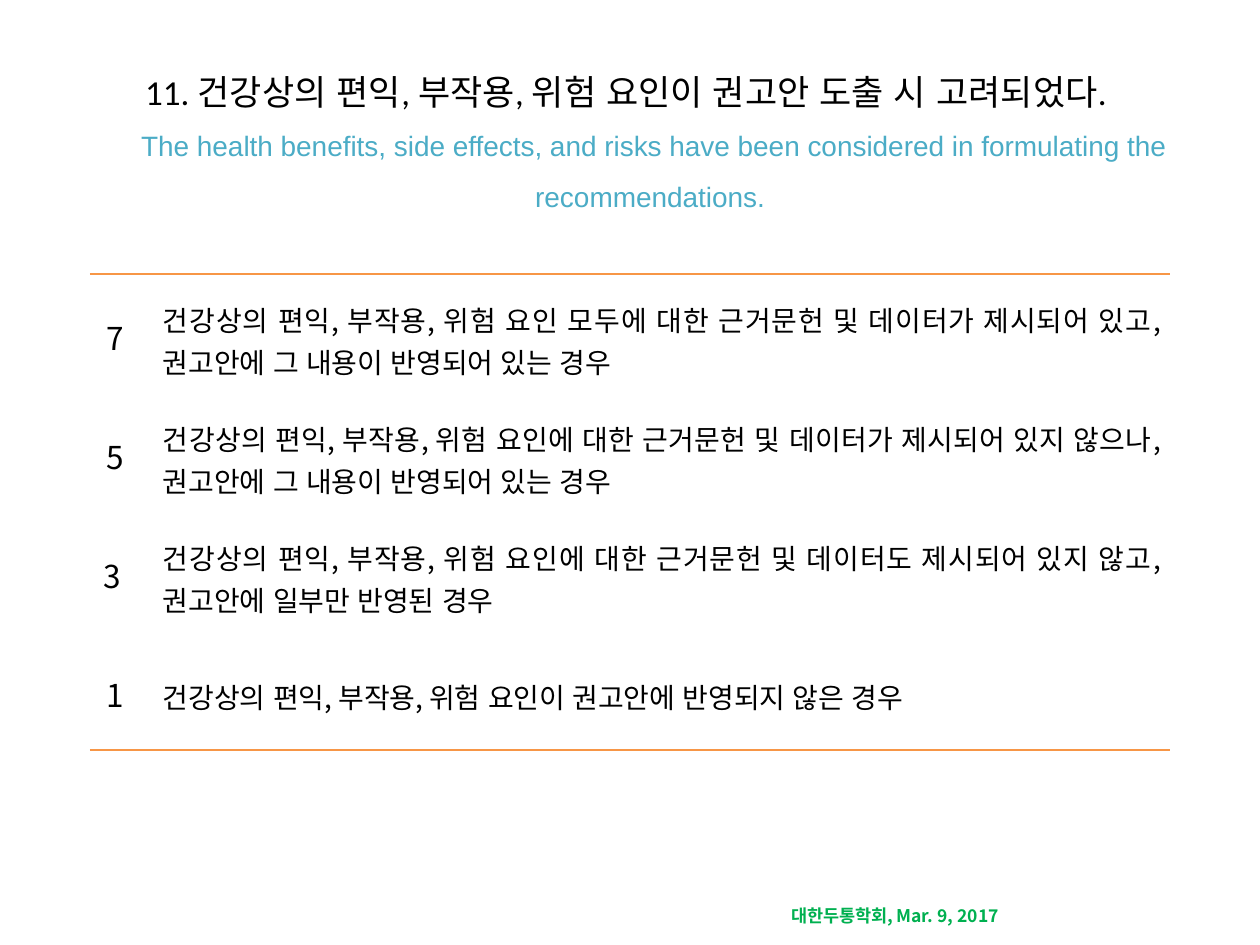
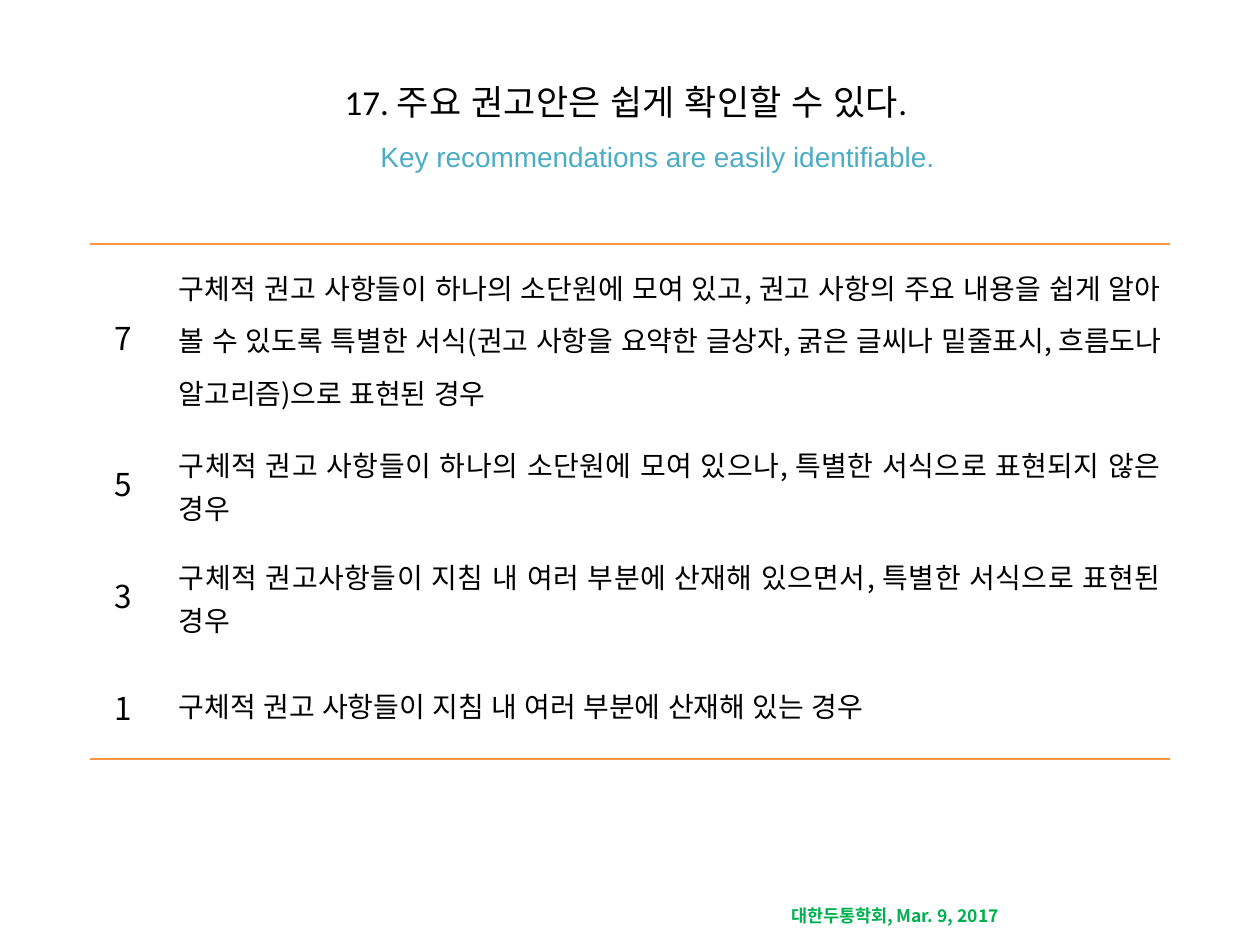
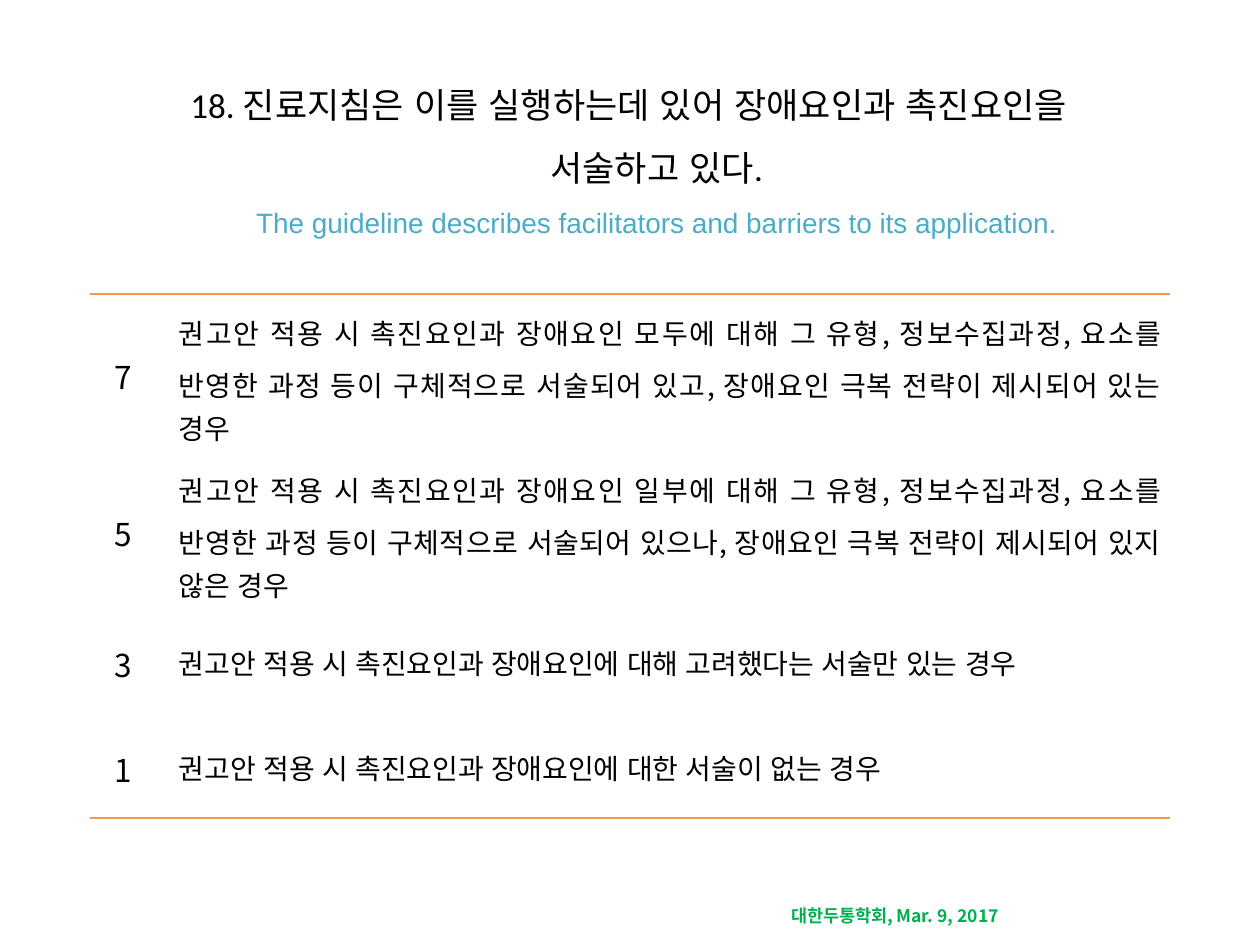
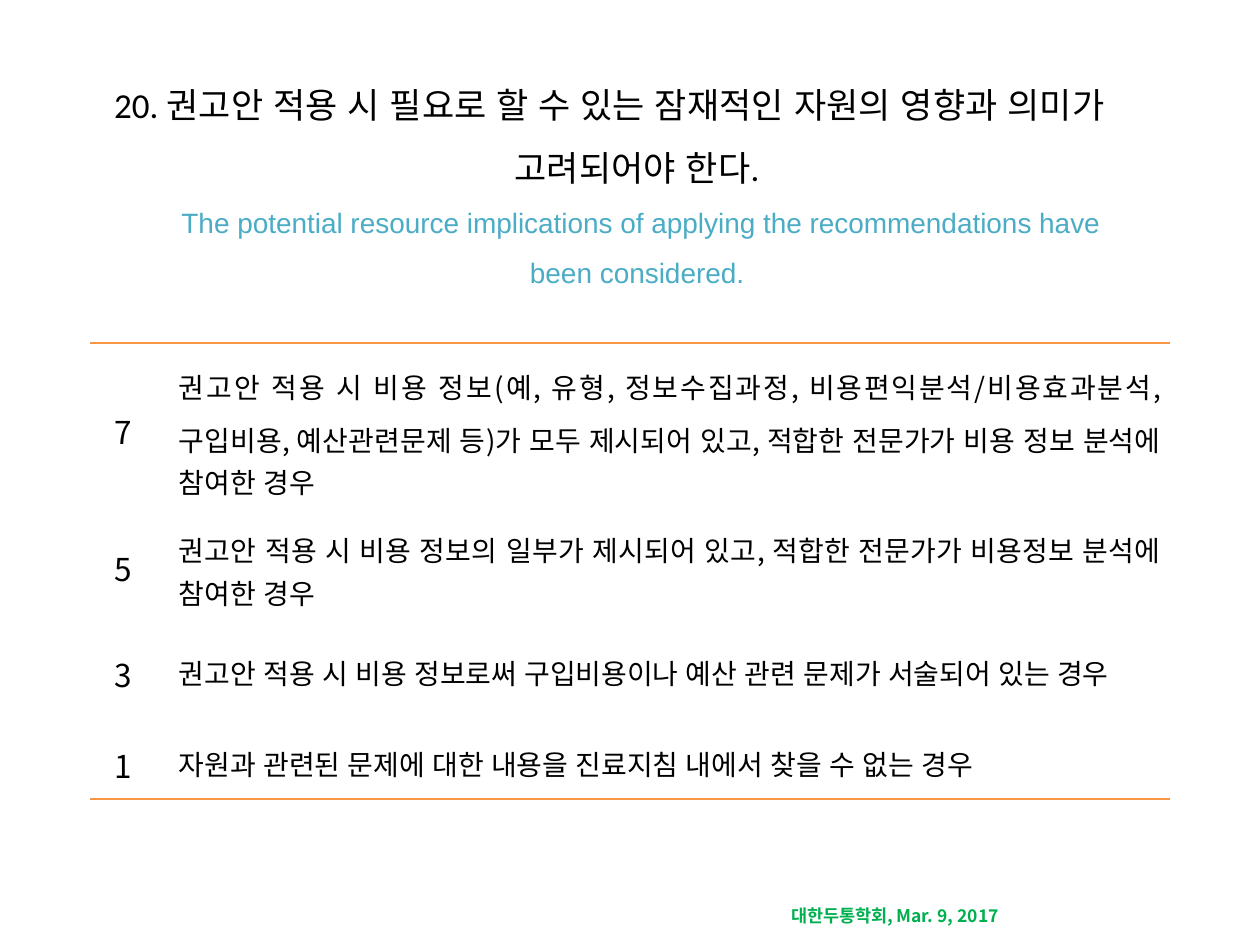
from lxml import etree
from pptx import Presentation
from pptx.dml.color import RGBColor
from pptx.enum.text import MSO_ANCHOR, PP_ALIGN
from pptx.oxml.ns import qn
from pptx.util import Emu, Pt

LEFT, CENTER, JUSTIFY = PP_ALIGN.LEFT, PP_ALIGN.CENTER, PP_ALIGN.JUSTIFY
TOP, MIDDLE = MSO_ANCHOR.TOP, MSO_ANCHOR.MIDDLE

PX_PER_INCH = 126
BODY_FONT, TITLE_FONT, SUBTITLE_FONT = "Noto Sans CJK KR", "Calibri", "Arial"
EAST_ASIAN_FONT = "Arial"
BLACK, TEAL, ORANGE, GREEN = "000000", "4BACC6", "F79646", "00B050"
PLAIN_TABLE_STYLE = "{2D5ABB26-0587-4C30-8999-92F81FD0307C}"

FOOTER = "대한두통학회, Mar. 9, 2017"
FOOTER_BOX = (779, 899, 277, 34)
TABLE_LEFT, TABLE_WIDTH = 90, 1080
CELL_MARGIN, SCORE_RIGHT_MARGIN = 9, 22

CRITERIA = [
    {
        "title": "11. 건강상의 편익, 부작용, 위험 요인이 권고안 도출 시 고려되었다. ",
        "subtitle": "The health benefits, side effects, and risks have been considered "
                    "in formulating the recommendations. ",
        "title_box": (63, 38, 1134, 186),
        "indent": 48,
        "table_top": 274,
        "score_width": 64,
        "row_heights": [119, 119, 119, 119],
        "scores": [
            ("7", "건강상의 편익, 부작용, 위험 요인 모두에 대한 근거문헌 및 데이터가 제시되어 있고, "
                  "권고안에 그 내용이 반영되어 있는 경우"),
            ("5", "건강상의 편익, 부작용, 위험 요인에 대한 근거문헌 및 데이터가 제시되어 있지 않으나, "
                  "권고안에 그 내용이 반영되어 있는 경우"),
            ("3 ", "건강상의 편익, 부작용, 위험 요인에 대한 근거문헌 및 데이터도 제시되어 있지 않고, "
                   "권고안에 일부만 반영된 경우"),
            ("1", "건강상의 편익, 부작용, 위험 요인이 권고안에 반영되지 않은 경우"),
        ],
    },
    {
        "title": "17. 주요 권고안은 쉽게 확인할 수 있다. ",
        "subtitle": "Key recommendations are easily identifiable. ",
        "title_box": (63, 37, 1134, 158),
        "indent": 63,
        "table_top": 244,
        "score_width": 80,
        "row_heights": [179, 112, 112, 112],
        "scores": [
            ("7", "구체적 권고 사항들이 하나의 소단원에 모여 있고, 권고 사항의 주요 내용을 쉽게 "
                  "알아 볼 수 있도록 특별한 서식(권고 사항을 요약한 글상자, 굵은 글씨나 밑줄표시, "
                  "흐름도나 알고리즘)으로 표현된 경우"),
            ("5", "구체적 권고 사항들이 하나의 소단원에 모여 있으나, 특별한 서식으로 표현되지 않은 경우"),
            ("3", "구체적 권고사항들이 지침 내 여러 부분에 산재해 있으면서, "
                  "특별한 서식으로 표현된 경우 "),
            ("1", "구체적 권고 사항들이 지침 내 여러 부분에 산재해 있는 경우"),
        ],
    },
    {
        "title": "18. 진료지침은 이를 실행하는데 있어 장애요인과 촉진요인을 서술하고 있다. ",
        "subtitle": "The guideline describes facilitators and barriers to its application. ",
        "title_box": (122, 58, 1014, 186),
        "indent": 63,
        "table_top": 294,
        "score_width": 80,
        "row_heights": [157, 157, 105, 105],
        "scores": [
            ("7", "권고안 적용 시 촉진요인과 장애요인 모두에 대해 그 유형, 정보수집과정, 요소를 "
                  "반영한 과정 등이 구체적으로 서술되어 있고, 장애요인 극복 전략이 제시되어 있는 경우"),
            ("5", "권고안 적용 시 촉진요인과 장애요인 일부에 대해 그 유형, 정보수집과정, 요소를 "
                  "반영한 과정 등이 구체적으로 서술되어 있으나, 장애요인 극복 전략이 제시되어 있지 않은 경우"),
            ("3", "권고안 적용 시 촉진요인과 장애요인에 대해 고려했다는 서술만 있는 경우"),
            ("1", "권고안 적용 시 촉진요인과 장애요인에 대한 서술이 없는 경우"),
        ],
    },
    {
        "title": "20. 권고안 적용 시 필요로 할 수 있는 잠재적인 자원의 영향과 의미가 고려되어야 한다. ",
        "subtitle": "The potential resource implications of applying the recommendations "
                    "have been considered. ",
        "title_box": (93, 88, 1033, 176),
        "indent": 63,
        "table_top": 343,
        "score_width": 80,
        "row_heights": [168, 106, 106, 76],
        "scores": [
            ("7", "권고안 적용 시 비용 정보(예, 유형, 정보수집과정, 비용편익분석/비용효과분석, "
                  "구입비용, 예산관련문제 등)가 모두 제시되어 있고, 적합한 전문가가 비용 정보 분석에 참여한 경우"),
            ("5", "권고안 적용 시 비용 정보의 일부가 제시되어 있고, "
                  "적합한 전문가가 비용정보 분석에 참여한 경우"),
            ("3", "권고안 적용 시 비용 정보로써 구입비용이나 예산 관련 문제가 서술되어 있는 경우"),
            ("1", "자원과 관련된 문제에 대한 내용을 진료지침 내에서 찾을 수 없는 경우"),
        ],
    },
]


def px(length):
    return Emu(round(length * 914400 / PX_PER_INCH))


def rgb(color):
    return RGBColor.from_string(color)


def write(paragraph, text, size=16, font=BODY_FONT, color=BLACK, bold=False,
          align=LEFT, line_spacing=1.0):
    """Append one formatted run, with the East Asian font beside the Latin one."""
    paragraph.alignment = align
    paragraph.line_spacing = line_spacing
    run = paragraph.add_run()
    run.text = text
    run.font.size = Pt(size)
    run.font.name = font
    run.font.bold = bold
    run.font.color.rgb = rgb(color)
    latin = run.font._element.find(qn("a:latin"))
    latin.addnext(latin.makeelement(qn("a:ea"), {"typeface": EAST_ASIAN_FONT}))


def add_text_box(slide, box, anchor=TOP):
    """Add a wrapping text box and return its first paragraph."""
    text_frame = slide.shapes.add_textbox(*map(px, box)).text_frame
    text_frame.word_wrap = True
    text_frame.vertical_anchor = anchor
    return text_frame.paragraphs[0]


def add_title(slide, criterion):
    paragraph = add_text_box(slide, criterion["title_box"], MIDDLE)
    indent = px(criterion["indent"])
    properties = paragraph._p.get_or_add_pPr()
    properties.set("marL", str(indent))
    properties.set("indent", str(-indent))
    title_format = {"align": CENTER, "line_spacing": 1.5}
    write(paragraph, criterion["title"], size=20, font=TITLE_FONT, **title_format)
    paragraph.add_line_break()
    write(paragraph, criterion["subtitle"], font=SUBTITLE_FONT, color=TEAL, **title_format)


def add_border(cell, side):
    """Draw a cell's rule; side is lnT for the top or lnB for the bottom."""
    line = etree.Element(qn(f"a:{side}"), w=str(Pt(1)))
    fill = etree.SubElement(line, qn("a:solidFill"))
    etree.SubElement(fill, qn("a:srgbClr"), val=ORANGE)
    cell._tc.get_or_add_tcPr().insert(0, line)


def add_score_table(slide, criterion):
    heights, scores = criterion["row_heights"], criterion["scores"]
    box = (TABLE_LEFT, criterion["table_top"], TABLE_WIDTH, sum(heights))
    table = slide.shapes.add_table(len(scores), 2, *map(px, box)).table
    table.first_row = table.horz_banding = False
    table._tbl.tblPr.find(qn("a:tableStyleId")).text = PLAIN_TABLE_STYLE
    score_width = criterion["score_width"]
    for column, width in zip(table.columns, (score_width, TABLE_WIDTH - score_width)):
        column.width = px(width)

    column_formats = (
        (SCORE_RIGHT_MARGIN, {"size": 18, "align": CENTER, "line_spacing": 1.15}),
        (CELL_MARGIN, {"size": 16, "align": JUSTIFY, "line_spacing": 1.3}),
    )
    for row, height, texts in zip(table.rows, heights, scores):
        row.height = px(height)
        for cell, text, (right_margin, text_format) in zip(row.cells, texts, column_formats):
            cell.fill.background()
            cell.vertical_anchor = MIDDLE
            cell.margin_left, cell.margin_right = px(CELL_MARGIN), px(right_margin)
            cell.margin_top = cell.margin_bottom = 0
            write(cell.text_frame.paragraphs[0], text, **text_format)
    for column in range(2):
        add_border(table.cell(0, column), "lnT")
        add_border(table.cell(len(scores) - 1, column), "lnB")


def main():
    presentation = Presentation()
    presentation.slide_width, presentation.slide_height = px(1260), px(945)
    blank_layout = presentation.slide_layouts[6]
    for criterion in CRITERIA:
        slide = presentation.slides.add_slide(blank_layout)
        write(add_text_box(slide, FOOTER_BOX), FOOTER, size=10, color=GREEN, bold=True)
        add_title(slide, criterion)
        add_score_table(slide, criterion)
    presentation.save("out.pptx")


if __name__ == "__main__":
    main()
